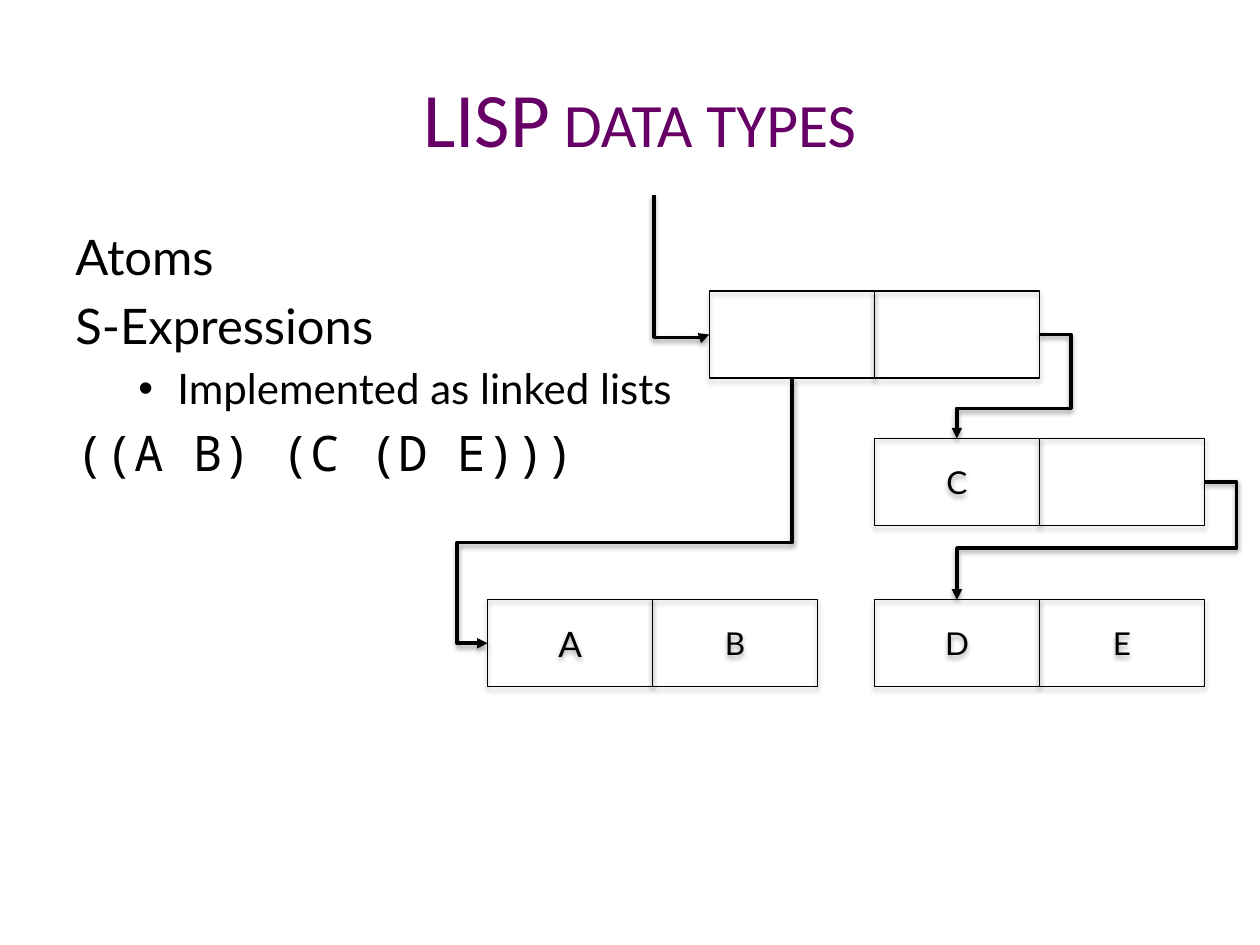
from dataclasses import dataclass

from lxml.etree import SubElement
from pptx import Presentation
from pptx.dml.color import RGBColor
from pptx.enum.shapes import MSO_CONNECTOR as Connector, MSO_SHAPE as Shape
from pptx.enum.text import MSO_ANCHOR as Anchor, PP_ALIGN as Align
from pptx.oxml.ns import qn
from pptx.util import Inches, Pt


@dataclass(frozen=True)
class Theme:
    ink: RGBColor = RGBColor(0, 0, 0)
    purple: RGBColor = RGBColor(0x66, 0, 0x66)
    title_font: str = "Calibri"
    body_font: str = "Lato"
    code_font: str = "Noto Sans Mono"
    title_size: int = 44
    body_size: int = 28
    bullet_size: int = 24
    large_label: int = 20
    label_size: int = 18
    cell_line: float = 0.75
    arrow_line: float = 2


THEME = Theme()
CELL_WIDTH, CELL_HEIGHT = Inches(1.31), Inches(0.69)
TOP, LEFT, BOTTOM, RIGHT = range(4)


def style_font(font, name, size, color=THEME.ink):
    font.name = name
    font.size = Pt(size)
    font.color.rgb = color


def add_shadow(properties, distance, opacity):
    effects = properties.find(qn("a:effectLst"))
    if effects is None:
        effects = SubElement(properties, qn("a:effectLst"))
    shadow = SubElement(effects, qn("a:outerShdw"), blurRad=str(Pt(3.1)),
                        dist=str(Pt(distance)), dir="5400000", rotWithShape="0")
    color = SubElement(shadow, qn("a:srgbClr"), val=str(THEME.ink))
    SubElement(color, qn("a:alpha"), val=str(opacity * 1000))


def write_title(page, text):
    title = page.shapes.title
    title.left, title.top = Inches(0.5), Inches(0.3)
    title.width, title.height = Inches(9.15), Inches(1.25)
    title.text_frame.vertical_anchor = Anchor.MIDDLE
    para = title.text_frame.paragraphs[0]
    para.alignment = Align.CENTER
    span = para.add_run()
    span.text = text
    style_font(span.font, THEME.title_font, THEME.title_size, THEME.purple)
    span.font._element.set("cap", "small")


def add_bullet(para):
    properties = para._p.get_or_add_pPr()
    properties.set("marL", str(Inches(0.81)))
    properties.set("indent", str(Inches(-0.31)))
    SubElement(properties, qn("a:buFont"), typeface="Arial")
    SubElement(properties, qn("a:buChar"), char="•")


def write_body(page, lines):
    box = page.shapes.add_textbox(Inches(0.5), Inches(1.75), Inches(9.15), Inches(5.09))
    frame = box.text_frame
    frame.word_wrap = True
    for index, (text, font, size, bulleted) in enumerate(lines):
        para = frame.add_paragraph() if index else frame.paragraphs[0]
        para.text = text
        para.space_before = Pt(size * 0.2)
        if bulleted:
            add_bullet(para)
        style_font(para.font, font, size)


def add_cell(page, left, top, label, size):
    box = page.shapes.add_shape(Shape.RECTANGLE, left, top, CELL_WIDTH, CELL_HEIGHT)
    box.fill.background()
    box.line.color.rgb = THEME.ink
    box.line.width = Pt(THEME.cell_line)
    box.shadow.inherit = False
    add_shadow(box._element.spPr, 1.8, 35)
    if label:
        box.text_frame.vertical_anchor = Anchor.MIDDLE
        para = box.text_frame.paragraphs[0]
        para.text = label
        para.alignment = Align.CENTER
        style_font(para.font, THEME.body_font, size)
    return box


def add_pair(page, left, top, labels=("", ""), sizes=(THEME.label_size,) * 2):
    return [add_cell(page, Inches(left) + index * CELL_WIDTH, Inches(top), label, size)
            for index, (label, size) in enumerate(zip(labels, sizes))]


def side_middle(box, side):
    across = {TOP: 0.5, LEFT: 0, BOTTOM: 0.5, RIGHT: 1}[side]
    down = {TOP: 0, LEFT: 0.5, BOTTOM: 1, RIGHT: 0.5}[side]
    return box.left + int(box.width * across), box.top + int(box.height * down)


def place_turned(arrow, start, end, turn):
    center_x, center_y = (start[0] + end[0]) // 2, (start[1] + end[1]) // 2
    half_width = abs(end[1] - start[1]) // 2
    half_height = abs(end[0] - start[0]) // 2
    if turn == 270:
        half_width = -half_width
    arrow.begin_x, arrow.begin_y = center_x - half_width, center_y - half_height
    arrow.end_x, arrow.end_y = center_x + half_width, center_y + half_height
    arrow._element.spPr.find(qn("a:xfrm")).set("rot", str(turn * 60000))


def add_arrow(page, source, target, bends, turn=0, start=None):
    if source:
        start = side_middle(*source)
    end = side_middle(*target)
    arrow = page.shapes.add_connector(Connector.ELBOW, *start, *end)
    if source:
        arrow.begin_connect(*source)
    arrow.end_connect(*target)
    if turn:
        place_turned(arrow, start, end, turn)
    properties = arrow._element.spPr
    geometry = properties.find(qn("a:prstGeom"))
    geometry.set("prst", f"bentConnector{len(bends) + 2}")
    guides = geometry.find(qn("a:avLst"))
    for number, bend in enumerate(bends, 1):
        SubElement(guides, qn("a:gd"), name=f"adj{number}",
                   fmla=f"val {round(bend * 100000)}")
    arrow.line.color.rgb = THEME.ink
    arrow.line.width = Pt(THEME.arrow_line)
    SubElement(properties.find(qn("a:ln")), qn("a:tailEnd"), type="triangle")
    add_shadow(properties, 1.6, 38)


def main():
    deck = Presentation()
    deck.slide_width, deck.slide_height = Inches(10), Inches(7.5)
    page = deck.slides.add_slide(deck.slide_layouts[5])

    write_title(page, "LISP data types")
    write_body(page, [
        ("Atoms", THEME.body_font, THEME.body_size, False),
        ("S-Expressions", THEME.body_font, THEME.body_size, False),
        ("Implemented as linked lists", THEME.body_font, THEME.bullet_size, True),
        ("((A B) (C (D E)))", THEME.code_font, THEME.body_size, False),
    ])

    root = add_pair(page, 5.63, 2.31)
    first = add_pair(page, 3.87, 4.76, "AB", (THEME.large_label, THEME.label_size))
    second = add_pair(page, 6.94, 3.48, ("C", ""))
    nested = add_pair(page, 6.94, 4.76, "DE")

    add_arrow(page, (root[0], BOTTOM), (first[0], LEFT), (0.62, 1.1), turn=90)
    add_arrow(page, (root[1], RIGHT), (second[0], TOP), (-0.38, 0.71))
    add_arrow(page, (second[1], RIGHT), (nested[0], TOP), (-0.13, 0.56))
    add_arrow(page, None, (root[0], LEFT), (1.02,), turn=270,
              start=(Inches(5.19), Inches(1.55)))

    deck.save("out.pptx")


if __name__ == "__main__":
    main()
